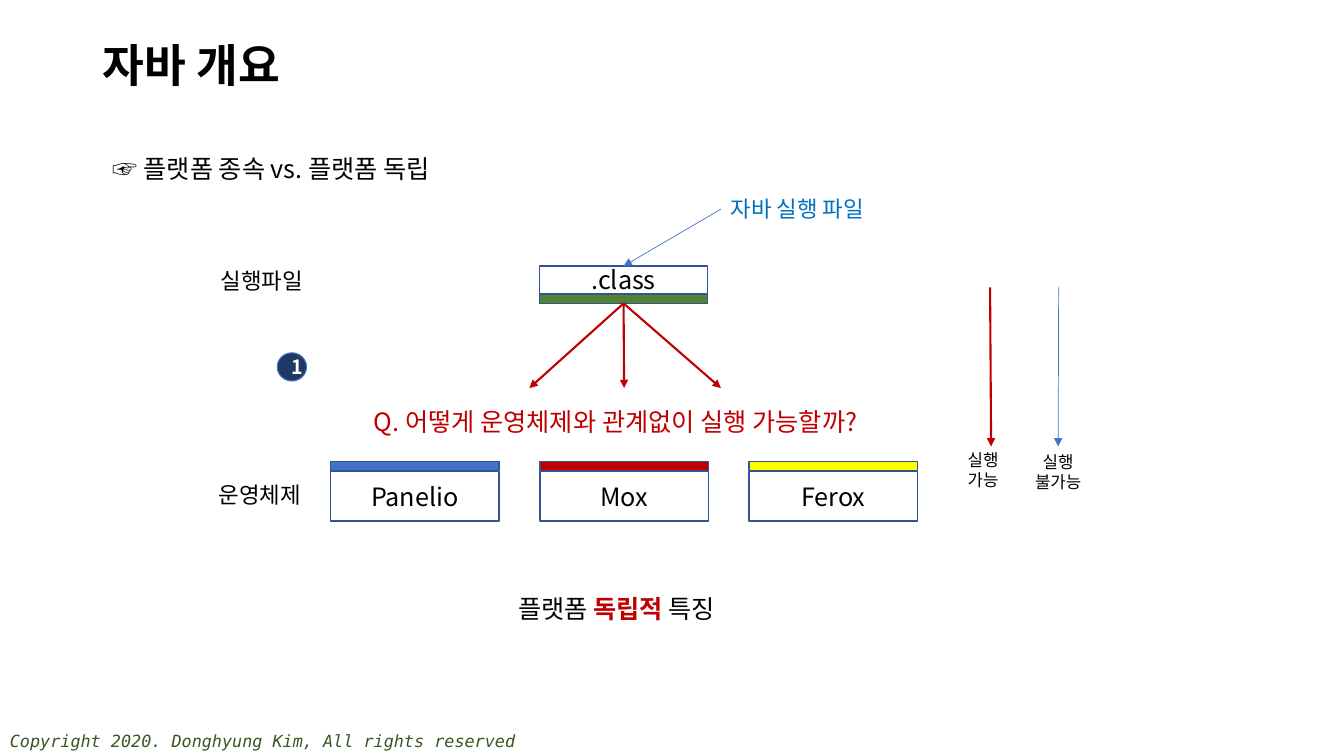
from dataclasses import dataclass
from typing import Any, Optional

from lxml import etree
from pptx import Presentation
from pptx import util as u
from pptx.dml.color import RGBColor
from pptx.enum import shapes, text as t
from pptx.oxml import ns

HUES = {
    "black": "000000", "white": "FFFFFF", "red": "C00000", "blue": "4472C4",
    "sky": "0070C0", "navy": "203864", "edge": "325491", "green": "548235",
    "moss": "385723", "yellow": "FFFF00",
}
FONT = "Noto Sans CJK KR"
MONO = "DejaVu Sans Mono"
WIDE = 1.67
BAR = 0.09


@dataclass
class Label:
    name: str
    text: str
    left: float
    top: float
    width: float
    height: float
    style: dict[str, Any]


@dataclass
class Box:
    text: str
    left: float
    hue: str


@dataclass
class Arrow:
    start: tuple[float, float]
    end: tuple[float, float]
    hue: str
    weight: float
    tail: Optional[tuple[Any, int]] = None
    head: Optional[tuple[Any, int]] = None


def rgb(hue: str) -> RGBColor:
    return RGBColor.from_string(HUES[hue])


def write(shape: Any, text: str, *, size: float = 18, hue: str = "black",
          font: str = FONT, bold: bool = False, slant: bool = False,
          mid: bool = False, center: bool = False, mark: str = "",
          space: Optional[float] = None) -> None:
    frame = shape.text_frame
    frame.word_wrap = True
    frame.vertical_anchor = t.MSO_ANCHOR.MIDDLE if mid else t.MSO_ANCHOR.TOP
    for row, line in enumerate(text.split("\n")):
        para = frame.add_paragraph() if row else frame.paragraphs[0]
        para.alignment = t.PP_ALIGN.CENTER if center else t.PP_ALIGN.LEFT
        if space:
            para.line_spacing = space
        for part in line.partition(mark) if mark else [line]:
            run = para.add_run()
            run.text = part
            hot = bool(mark) and part == mark
            run.font.size = u.Pt(size)
            run.font.name = font
            run.font.bold = bold or hot
            run.font.italic = slant
            run.font.color.rgb = rgb("red" if hot else hue)
            east = etree.SubElement(run.font._element, ns.qn("a:ea"))
            east.set("typeface", font)


def shape(slide: Any, left: float, top: float, width: float, height: float,
          fill: str = "", line: str = "edge", weight: float = 1,
          kind: Any = shapes.MSO_SHAPE.RECTANGLE) -> Any:
    item = slide.shapes.add_shape(kind, u.Inches(left), u.Inches(top),
                                  u.Inches(width), u.Inches(height))
    item.shadow.inherit = False
    if fill:
        item.fill.solid()
        item.fill.fore_color.rgb = rgb(fill)
    else:
        item.fill.background()
    item.line.color.rgb = rgb(line)
    item.line.width = u.Pt(weight)
    return item


def label(slide: Any, spec: Label) -> Any:
    item = slide.shapes.add_textbox(u.Inches(spec.left), u.Inches(spec.top),
                                    u.Inches(spec.width), u.Inches(spec.height))
    write(item, spec.text, **spec.style)
    return item


def arrow(slide: Any, link: Arrow) -> None:
    ends = [u.Inches(n) for n in (*link.start, *link.end)]
    item = slide.shapes.add_connector(shapes.MSO_CONNECTOR.STRAIGHT, *ends)
    if link.tail:
        item.begin_connect(*link.tail)
    if link.head:
        item.end_connect(*link.head)
    item.line.color.rgb = rgb(link.hue)
    item.line.width = u.Pt(link.weight)
    tip = etree.SubElement(item.line._get_or_add_ln(), ns.qn("a:tailEnd"))
    tip.set("type", "triangle")
    etree.SubElement(item._element.spPr, ns.qn("a:effectLst"))


LABELS = [
    Label("foot", "Copyright 2020. Donghyung Kim, All rights reserved",
          0, 7.2, 7.19, 0.3,
          dict(size=12, font=MONO, hue="moss", slant=True)),
    Label("title", "자바 개요", 0.92, 0.4, 11.5, 0.54,
          dict(size=32.4, bold=True, mid=True, space=0.9)),
    Label("topic", "☞ 플랫폼 종속 vs. 플랫폼 독립", 1.02, 1.47, 3.75, 0.4, {}),
    Label("file", "실행파일", 2.09, 2.6, 1.18, 0.37, dict(size=16)),
    Label("system", "운영체제", 2.07, 4.72, 1.19, 0.37, dict(size=16)),
    Label("can", "실행\n가능", 9.5, 4.41, 0.54, 0.5, dict(size=12)),
    Label("cannot", "실행\n불가능", 10.14, 4.43, 0.71, 0.5,
          dict(size=12, center=True)),
    Label("trait", "플랫폼 독립적 특징", 5.04, 5.84, 2.4, 0.4,
          dict(mark="독립적")),
    Label("query", "Q. 어떻게 운영체제와 관계없이 실행 가능할까?",
          3.61, 3.98, 5.54, 0.4, dict(hue="red")),
    Label("note", "자바 실행 파일", 7.15, 1.89, 1.71, 0.37,
          dict(size=16, hue="sky")),
]
HOSTS = [("Panelio", "blue"), ("Mox", "red"), ("Ferox", "yellow")]
BOXES = [Box(name, 3.28 + 2.075 * col, hue)
         for col, (name, hue) in enumerate(HOSTS)]


def main() -> None:
    deck = Presentation()
    deck.slide_width = u.Inches(13.33)
    deck.slide_height = u.Inches(7.5)
    slide = deck.slides.add_slide(deck.slide_layouts[6])

    notes = {spec.name: label(slide, spec) for spec in LABELS}

    for box in BOXES:
        shape(slide, box.left, 4.58, WIDE, BAR, fill=box.hue)
        write(shape(slide, box.left, 4.68, WIDE, 0.49), box.text,
              mid=True, center=True)

    base = shape(slide, 5.35, 2.92, WIDE, BAR, fill="green")
    code = shape(slide, 5.35, 2.64, WIDE, 0.27)
    write(code, ".class", mid=True, center=True)

    badge = shape(slide, 2.75, 3.5, 0.29, 0.28, fill="navy", line="blue",
                  weight=0.75, kind=shapes.MSO_SHAPE.OVAL)
    write(badge, "1", size=14, hue="white", bold=True, mid=True, center=True)

    links = [Arrow((6.19, 3.01), (x, 3.85), "red", 1.5, tail=(base, 2))
             for x in (5.25, 6.19, 7.15)]
    links += [
        Arrow((9.82, 2.85), (9.83, 4.43), "red", 1.5),
        Arrow((10.5, 2.85), (10.5, 4.43), "blue", 0.5,
              head=(notes["cannot"], 0)),
        Arrow((7.15, 2.08), (6.19, 2.64), "blue", 0.5,
              tail=(notes["note"], 1), head=(code, 0)),
    ]
    for link in links:
        arrow(slide, link)

    deck.save("out.pptx")


if __name__ == "__main__":
    main()
